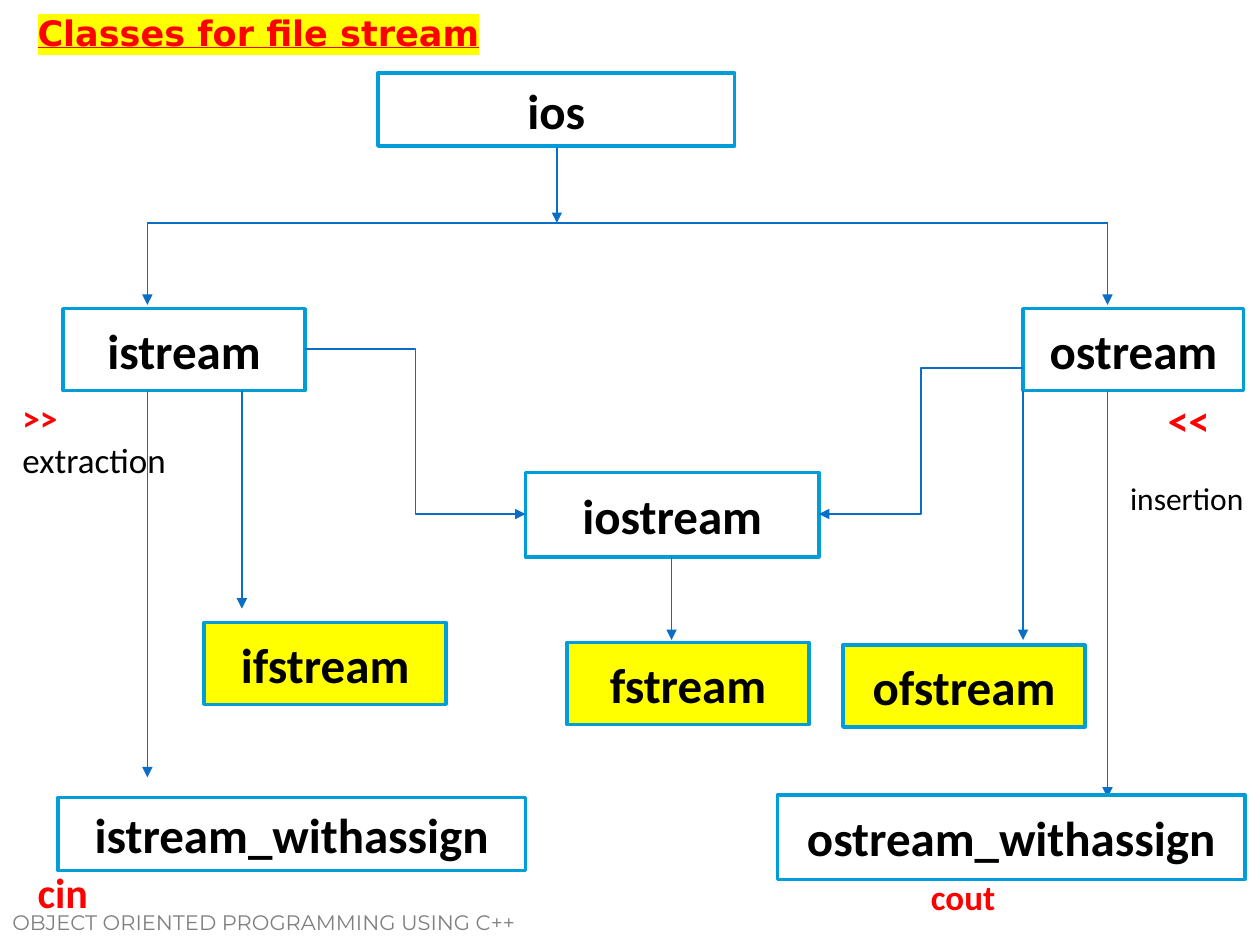
from lxml import etree
from pptx import Presentation
from pptx.dml.color import RGBColor
from pptx.enum.shapes import MSO_CONNECTOR, MSO_SHAPE
from pptx.enum.text import MSO_ANCHOR, PP_ALIGN
from pptx.oxml.ns import qn
from pptx.util import Inches, Pt

RECTANGLE = MSO_SHAPE.RECTANGLE
STRAIGHT, ELBOW = MSO_CONNECTOR.STRAIGHT, MSO_CONNECTOR.ELBOW
CENTER, MIDDLE = PP_ALIGN.CENTER, MSO_ANCHOR.MIDDLE

WHITE, YELLOW, BLACK, RED, GRAY = "FFFFFF", "FFFF00", "000000", "FF0000", "808080"
BORDER, ARROW = "009DD9", "0A6DC6"


def rgb(hex_color):
    return RGBColor.from_string(hex_color)


class DiagramSlide:
    """Draws class boxes, connectors and labels on one slide."""

    font_name = "Calibri"

    def __init__(self, slide):
        self.shapes = slide.shapes

    def style(self, paragraph, size, color, bold=False, name=None):
        font = paragraph.font
        font.name = name or self.font_name
        font.size = Pt(size)
        font.bold = bold
        font.color.rgb = rgb(color)

    def class_box(self, name, left, top, width, height, fill=WHITE):
        box = self.shapes.add_shape(
            RECTANGLE, Inches(left), Inches(top), Inches(width), Inches(height))
        box.shadow.inherit = False
        box.fill.solid()
        box.fill.fore_color.rgb = rgb(fill)
        box.line.color.rgb = rgb(BORDER)
        box.line.width = Pt(2)
        box.text_frame.vertical_anchor = MIDDLE
        paragraph = box.text_frame.paragraphs[0]
        paragraph.text = name
        paragraph.alignment = CENTER
        self.style(paragraph, 28, BLACK, bold=True)

    def connector(self, start, end, kind=STRAIGHT, arrow=True):
        link = self.shapes.add_connector(kind, *map(Inches, start + end))
        link.line.color.rgb = rgb(ARROW)
        link.line.width = Pt(0.75)
        if arrow:
            etree.SubElement(link.line._get_or_add_ln(), qn("a:tailEnd"), type="triangle")
        etree.SubElement(link._element.spPr, qn("a:effectLst"))

    def label(self, lines, left, top, width, height, wrap=True):
        """Add a text box; each line is (text, size, color, bold, font name)."""
        frame = self.shapes.add_textbox(
            Inches(left), Inches(top), Inches(width), Inches(height)).text_frame
        frame.word_wrap = wrap
        for index, (text, *font) in enumerate(lines):
            paragraph = frame.add_paragraph() if index else frame.paragraphs[0]
            paragraph.text = text
            self.style(paragraph, *font)
        return frame

    def title(self, text, left, top, width, height):
        frame = self.label([(text, 20, RED, True, "DejaVu Sans")], left, top, width, height)
        paragraph = frame.paragraphs[0]
        paragraph.font.underline = True
        run_properties = paragraph.runs[0].font._element if hasattr(
            paragraph.runs[0].font, "_element") else paragraph.runs[0]._r.get_or_add_rPr()
        highlight = etree.SubElement(run_properties, qn("a:highlight"))
        etree.SubElement(highlight, qn("a:srgbClr"), val=YELLOW)


def main():
    presentation = Presentation()
    presentation.slide_width, presentation.slide_height = Inches(10), Inches(7.5)
    diagram = DiagramSlide(presentation.slides.add_slide(presentation.slide_layouts[6]))

    diagram.label([("OBJECT ORIENTED PROGRAMMING USING C++", 12, GRAY, False, "Montserrat")],
                  0, 7.17, 5, 0.42)
    diagram.title("Classes for file stream", 0.2, 0.04, 5.44, 0.44)

    for name, *bounds in [
        ("ios", 3, 0.58, 2.83, 0.58),
        ("istream", 0.5, 2.45, 1.92, 0.65),
        ("ostream", 8.12, 2.45, 1.75, 0.65),
        ("iostream", 4.17, 3.75, 2.33, 0.67),
    ]:
        diagram.class_box(name, *bounds)

    # Branch from ios to the input and output sides
    root_x, input_x, output_x, branch_y = 4.42, 1.17, 8.79, 1.77
    diagram.connector((input_x, branch_y), (output_x, branch_y), arrow=False)
    for x, top, bottom in [
        (root_x, 1.17, branch_y),
        (input_x, branch_y, 2.42),
        (output_x, branch_y, 2.42),
        (input_x, 3.1, 6.17),
        (output_x, 3.1, 6.33),
        (1.92, 3.1, 4.83),
        (5.33, 4.42, 5.08),
        (8.12, 3.1, 5.08),
    ]:
        diagram.connector((x, top), (x, bottom))
    diagram.connector((2.42, 2.77), (4.17, 4.08), ELBOW)
    diagram.connector((8.12, 2.92), (6.5, 4.08), ELBOW)

    diagram.class_box("istream_withassign", 0.46, 6.33, 3.71, 0.58)
    diagram.class_box("ostream_withassign", 6.17, 6.31, 3.71, 0.67)
    for name, left, top in [
        ("ifstream", 1.62, 4.94), ("fstream", 4.5, 5.1), ("ofstream", 6.69, 5.12),
    ]:
        diagram.class_box(name, left, top, 1.92, 0.65, YELLOW)

    diagram.label([(">>", 20, RED, True), ("extraction", 20, BLACK)], 0.08, 3.1, 1.8, 0.77)
    diagram.label([("insertion", 18, BLACK)], 8.87, 3.75, 1.42, 0.4)
    for text, size, *bounds in [
        ("cin", 24, 0.2, 6.83, 0.61, 0.5),
        ("cout", 20, 7.29, 6.9, 0.72, 0.44),
        ("<<", 24, 9.17, 3.08, 0.54, 0.5),
    ]:
        diagram.label([(text, size, RED, True)], *bounds, wrap=False)

    presentation.save("out.pptx")


if __name__ == "__main__":
    main()
